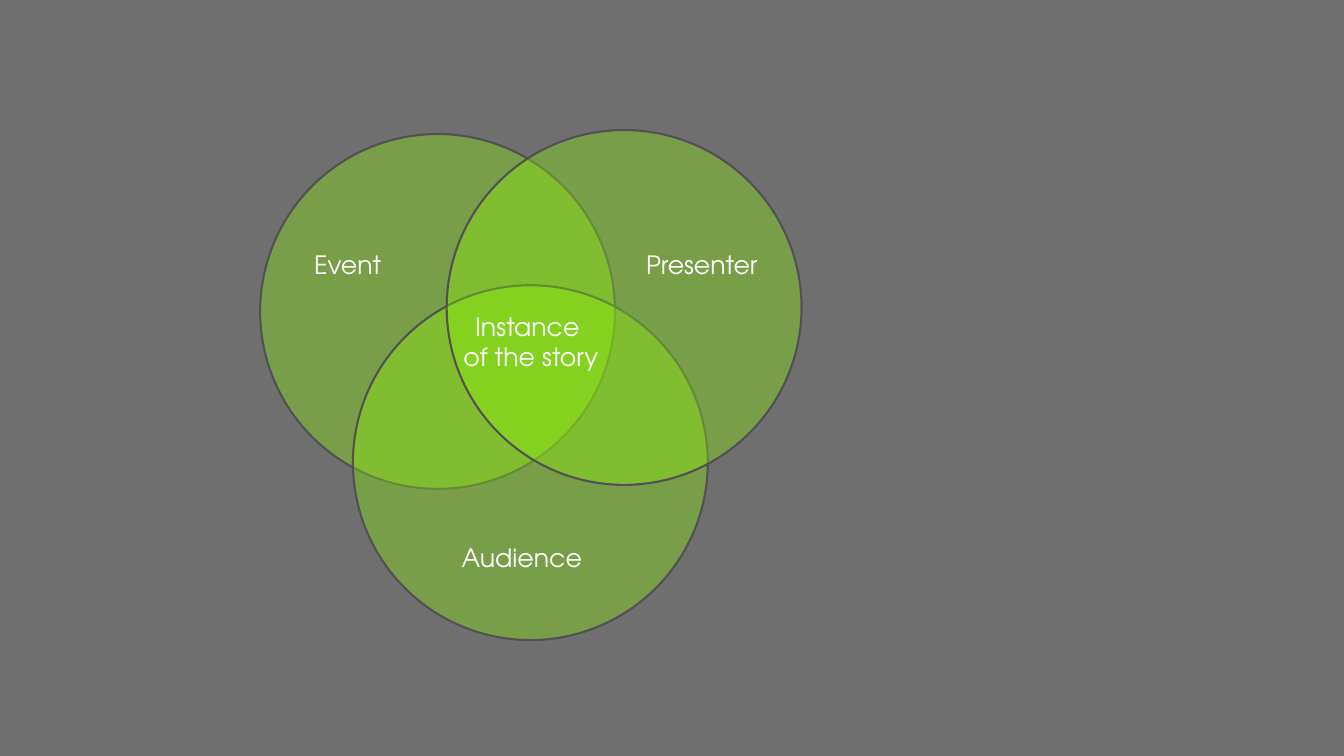
from dataclasses import dataclass

from lxml.etree import SubElement
from pptx import Presentation
from pptx.dml.color import RGBColor
from pptx.enum.shapes import MSO_SHAPE
from pptx.enum.text import MSO_AUTO_SIZE, PP_ALIGN
from pptx.oxml.ns import qn
from pptx.util import Inches, Pt


@dataclass(frozen=True)
class Theme:
    back: RGBColor = RGBColor.from_string("6F6F6F")
    lime: RGBColor = RGBColor.from_string("8EFA00")
    edge: RGBColor = RGBColor.from_string("525252")
    text: RGBColor = RGBColor.from_string("FFFFFF")
    font: str = "TeX Gyre Adventor"
    size: int = 18
    border: float = 1.5
    opacity: int = 34


THEME = Theme()
DIAMETER = 3.52

# Offsets from the diagram's top left corner
CIRCLES = [(0, 0.04), (0.92, 1.54), (1.85, 0)]
LABELS = [
    (("Instance ", "of the story"), (1.91, 1.75, 1.55, 0.71), PP_ALIGN.CENTER),
    (("Event",), (0.42, 1.13, 0.88, 0.4), PP_ALIGN.RIGHT),
    (("Audience",), (1.9, 4.04, 1.42, 0.4), PP_ALIGN.LEFT),
    (("Presenter",), (3.73, 1.13, 1.33, 0.4), PP_ALIGN.LEFT),
]


def add_circle(slide, left, top):
    circle = slide.shapes.add_shape(
        MSO_SHAPE.OVAL, Inches(left), Inches(top), Inches(DIAMETER), Inches(DIAMETER))
    circle.shadow.inherit = False
    circle.fill.solid()
    circle.fill.fore_color.rgb = THEME.lime
    color = circle._element.spPr.find(qn("a:solidFill"))[0]
    SubElement(color, qn("a:alpha"), val=str(THEME.opacity * 1000))
    circle.line.color.rgb = THEME.edge
    circle.line.width = Pt(THEME.border)


def add_label(slide, lines, left, top, width, height, align):
    box = slide.shapes.add_textbox(
        Inches(left), Inches(top), Inches(width), Inches(height))
    frame = box.text_frame
    frame.word_wrap = False
    frame.auto_size = MSO_AUTO_SIZE.SHAPE_TO_FIT_TEXT
    frame.text = "\n".join(lines)
    for line in frame.paragraphs:
        line.alignment = align
        line.font.name = THEME.font
        line.font.size = Pt(THEME.size)
        line.font.color.rgb = THEME.text


def add_venn(slide, left, top):
    for x, y in CIRCLES:
        add_circle(slide, left + x, top + y)
    for lines, (x, y, width, height), align in LABELS:
        add_label(slide, lines, left + x, top + y, width, height, align)


def main():
    deck = Presentation()
    deck.slide_width = Inches(13.33)
    deck.slide_height = Inches(7.5)
    slide = deck.slides.add_slide(deck.slide_layouts[6])
    slide.background.fill.solid()
    slide.background.fill.fore_color.rgb = THEME.back
    add_venn(slide, 2.58, 1.29)
    deck.save("out.pptx")


if __name__ == "__main__":
    main()
